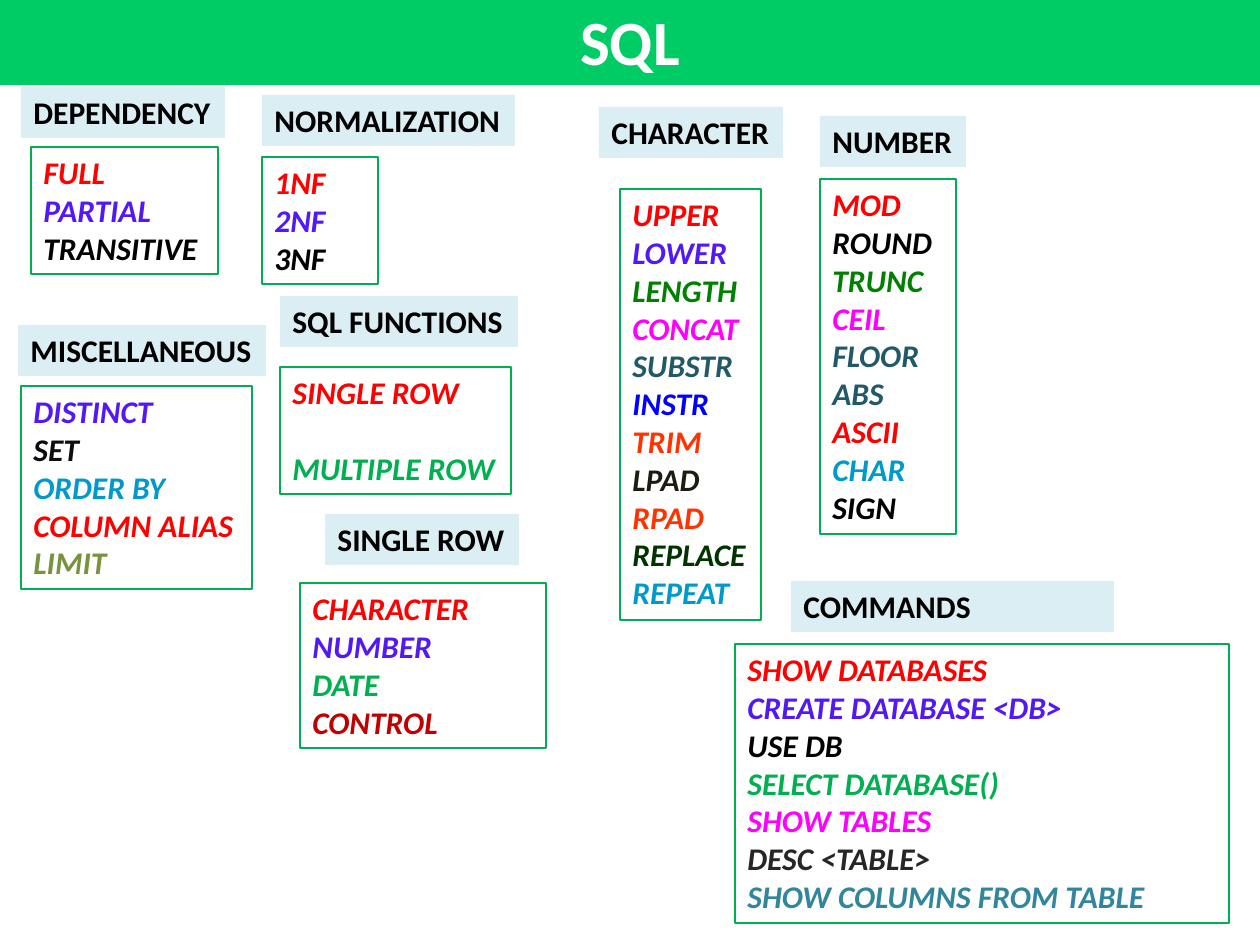
import pptx
import pptx.util
import pptx.dml.color
import pptx.enum.shapes
import pptx.enum.text

SCALE = 914400 / 126
LINE = 38
PAD = 13
HEAD = 51
GREEN = "00B050"
RED = "FF0000"
VIOLET = "5319F5"
BLACK = "000000"
LEAF = "008000"
PINK = "FF00FF"
TEAL = "215968"
SKY = "0099CC"
FLAME = "FF3300"


def px(count):
    return pptx.util.Emu(round(count * SCALE))


def color(code):
    return pptx.dml.color.RGBColor.from_string(code)


def add_box(slide, left, top, width, height, fill=None, line=None):
    kind = pptx.enum.shapes.MSO_SHAPE.RECTANGLE
    box = slide.shapes.add_shape(kind, px(left), px(top), px(width), px(height))
    box.shadow.inherit = False
    if fill:
        box.fill.solid()
        box.fill.fore_color.rgb = color(fill)
    else:
        box.fill.background()
    if line:
        box.line.color.rgb = color(line)
        box.line.width = pptx.util.Pt(0.75)
    else:
        box.line.fill.background()
    return box


def set_text(para, text, size=18, ink=BLACK, italic=False, align="LEFT", gap=0):
    para.alignment = getattr(pptx.enum.text.PP_ALIGN, align)
    para.space_before = pptx.util.Pt(gap)
    run = para.add_run()
    run.text = text
    font = run.font
    font.name = "Calibri"
    font.size = pptx.util.Pt(size)
    font.bold = True
    font.italic = italic
    font.color.rgb = color(ink)


def fit_text(box, wrap=True):
    frame = box.text_frame
    frame.word_wrap = wrap
    frame.auto_size = pptx.enum.text.MSO_AUTO_SIZE.SHAPE_TO_FIT_TEXT
    frame.vertical_anchor = pptx.enum.text.MSO_ANCHOR.TOP
    return frame


def add_title(slide, text):
    box = add_box(slide, 0, -4, 1260, 89, fill="00CC66")
    set_text(box.text_frame.paragraphs[0], text, size=36, ink="FFFFFF", align="CENTER")


def add_head(slide, text, left, top, width, wrap=False):
    box = add_box(slide, left, top, width, HEAD, fill="DBEEF4")
    set_text(fit_text(box, wrap).paragraphs[0], text)


def add_list(slide, items, left, top, width, gap=0):
    rows = len(items) + (1 if gap else 0)
    box = add_box(slide, left, top, width, LINE * rows + PAD, line=GREEN)
    frame = fit_text(box)
    for index, (text, ink) in enumerate(items):
        para = frame.add_paragraph() if index else frame.paragraphs[0]
        set_text(para, text, ink=ink, italic=True, gap=gap if index else 0)


def main():
    deck = pptx.Presentation()
    deck.slide_width = px(1260)
    deck.slide_height = px(945)
    slide = deck.slides.add_slide(deck.slide_layouts[6])
    add_title(slide, "SQL")

    add_list(slide, [("CHARACTER", RED), ("NUMBER", VIOLET), ("DATE", GREEN),
                     ("CONTROL", "C00000")], 300, 583, 246)
    add_head(slide, "SINGLE ROW", 325, 514, 194)

    add_list(slide, [("DISTINCT", VIOLET), ("SET", "0D0D0D"), ("ORDER BY", SKY),
                     ("COLUMN ALIAS", RED), ("LIMIT", "77933C")], 21, 386, 231)
    add_head(slide, "MISCELLANEOUS", 18, 325, 248)

    add_list(slide, [("SINGLE ROW", RED), ("MULTIPLE ROW", GREEN)],
             280, 367, 231, gap=21.6)
    add_head(slide, "SQL FUNCTIONS", 280, 296, 238)

    add_list(slide, [("FULL", RED), ("PARTIAL", VIOLET), ("TRANSITIVE", BLACK)],
             31, 147, 187)
    add_head(slide, "DEPENDENCY", 21, 87, 204)

    add_list(slide, [("1NF", RED), ("2NF", VIOLET), ("3NF", BLACK)], 262, 157, 116)
    add_head(slide, "NORMALIZATION", 262, 95, 253)

    add_list(slide, [("UPPER", RED), ("LOWER", VIOLET), ("LENGTH", LEAF),
                     ("CONCAT", PINK), ("SUBSTR", TEAL), ("INSTR", "0000FF"),
                     ("TRIM", FLAME), ("LPAD", "1E1C11"), ("RPAD", FLAME),
                     ("REPLACE", "003300"), ("REPEAT", SKY)], 620, 189, 141)
    add_head(slide, "CHARACTER", 599, 107, 184)

    add_head(slide, "NUMBER", 820, 116, 146)
    add_list(slide, [("MOD", RED), ("ROUND", BLACK), ("TRUNC", LEAF),
                     ("CEIL", PINK), ("FLOOR", TEAL), ("ABS", TEAL),
                     ("ASCII", RED), ("CHAR", SKY), ("SIGN", BLACK)], 820, 179, 136)

    add_list(slide, [("SHOW DATABASES", RED), ("CREATE DATABASE <DB>", VIOLET),
                     ("USE DB", BLACK), ("SELECT DATABASE()", GREEN),
                     ("SHOW TABLES", PINK), ("DESC <TABLE>", "262626"),
                     ("SHOW COLUMNS FROM TABLE", "31859C")], 735, 644, 494)
    add_head(slide, "COMMANDS", 791, 581, 323, wrap=True)
    deck.save("out.pptx")


if __name__ == "__main__":
    main()
